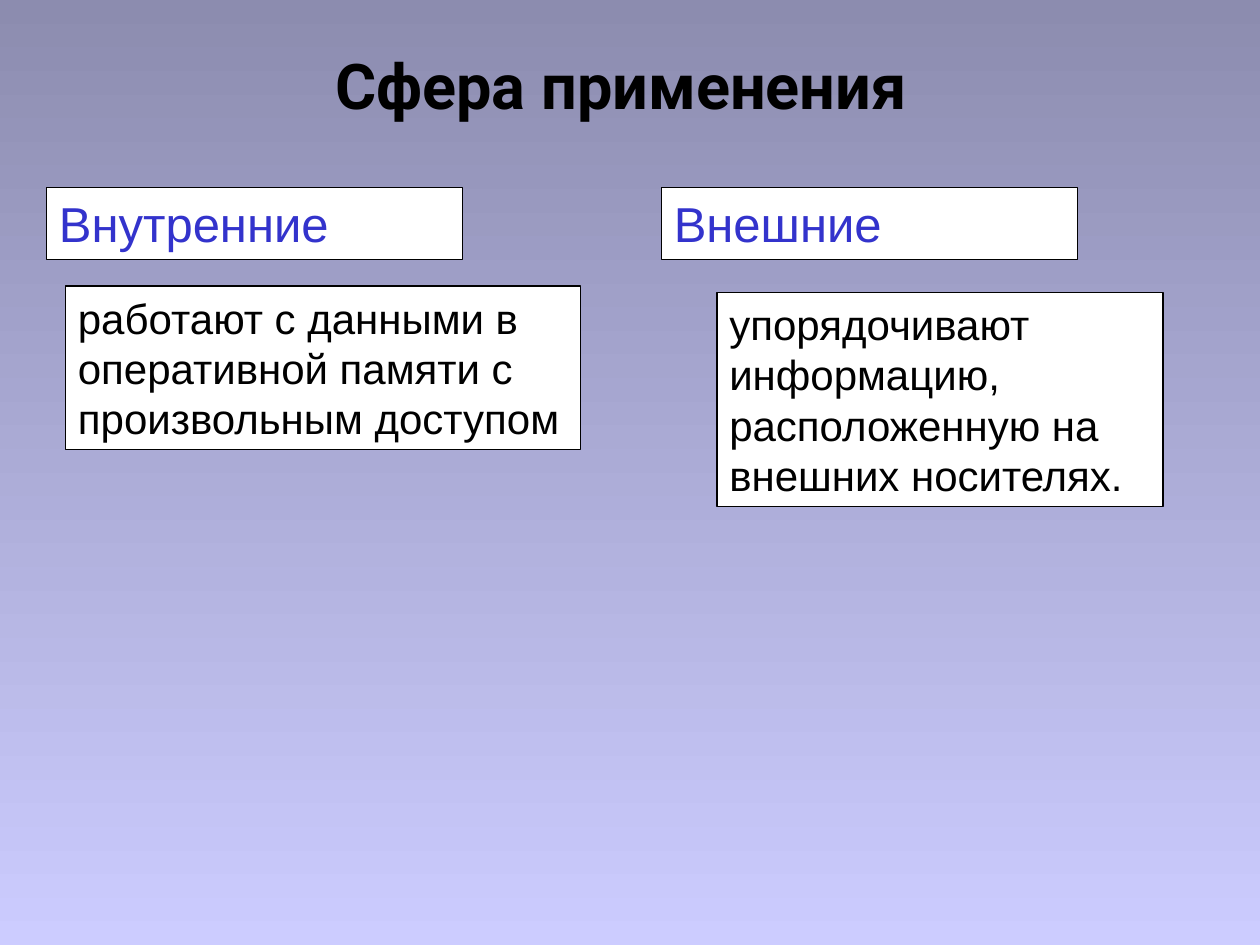
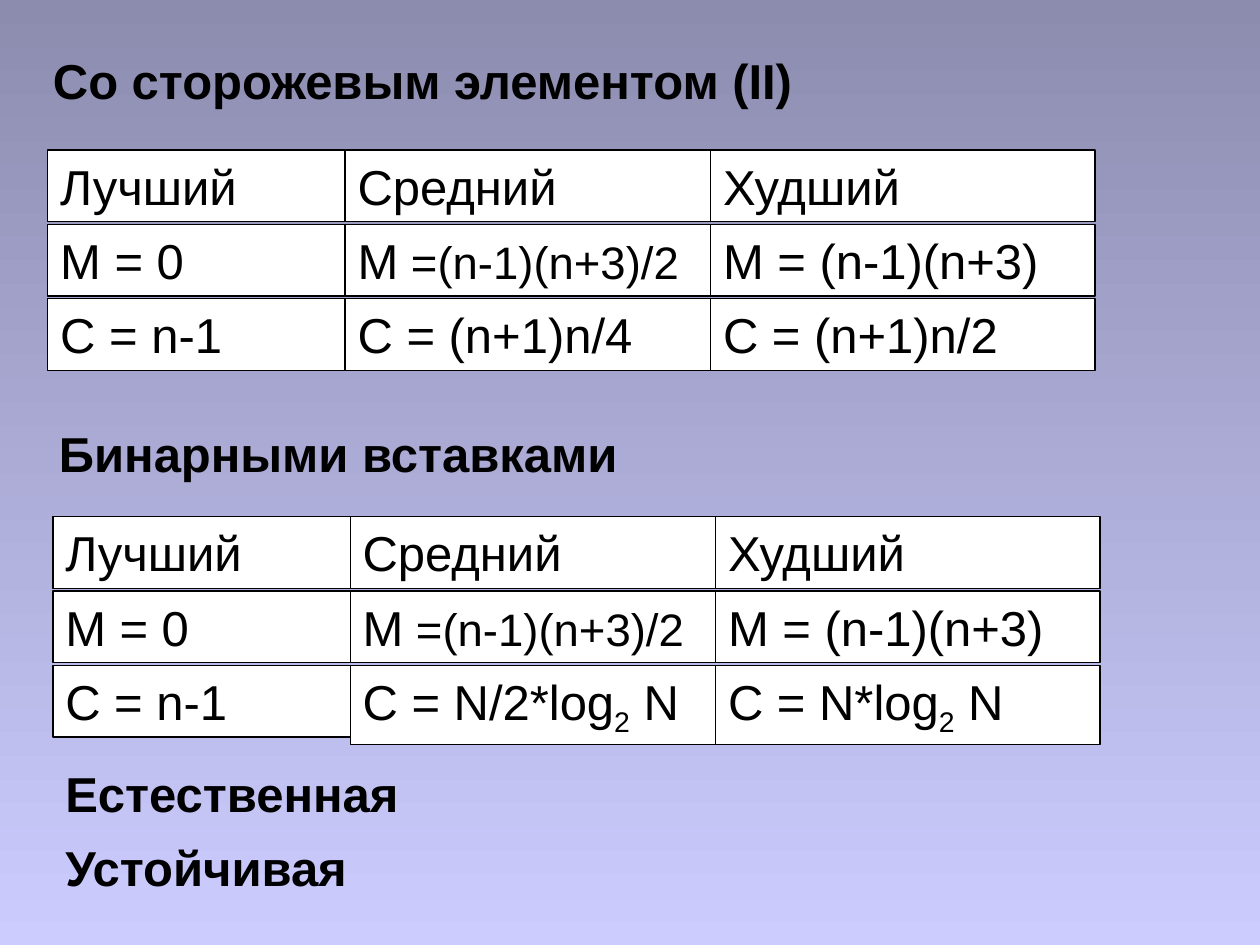
from dataclasses import dataclass
from itertools import accumulate
from pptx import Presentation
from pptx.dml.color import RGBColor
from pptx.enum.shapes import MSO_SHAPE
from pptx.enum.text import MSO_ANCHOR, MSO_AUTO_SIZE, PP_ALIGN
from pptx.util import Inches, Pt


@dataclass(frozen=True)
class Theme:
    black: RGBColor = RGBColor(0, 0, 0)
    white: RGBColor = RGBColor(255, 255, 255)
    blue: RGBColor = RGBColor(0x33, 0x33, 0xCC)
    top: RGBColor = RGBColor(0x8C, 0x8C, 0xAF)
    base: RGBColor = RGBColor(0xCC, 0xCC, 0xFF)
    font: str = "Arial"
    head: str = "Roboto"
    title: int = 36
    large: int = 28
    tight: int = 26
    body: int = 24
    line: float = 0.75


T = Theme()


def write(shape, parts, size=T.large, color=T.black, bold=False, face=T.font):
    """Fill a shape with runs; a part is a text or (text, size, baseline)."""
    frame = shape.text_frame
    frame.word_wrap = True
    frame.vertical_anchor = MSO_ANCHOR.TOP
    frame.auto_size = MSO_AUTO_SIZE.NONE
    para = frame.paragraphs[0]
    para.alignment = PP_ALIGN.LEFT
    for part in [parts] if isinstance(parts, str) else parts:
        text, points, shift = (part, size, 0) if isinstance(part, str) else part
        run = para.add_run()
        run.text = text
        run.font.name, run.font.size, run.font.bold = face, Pt(points), bold
        run.font.color.rgb = color
        if shift:
            run.font._element.set("baseline", str(shift * 1000))


def box(slide, place, parts, **style):
    """Draw a white framed box with text."""
    shape = slide.shapes.add_shape(MSO_SHAPE.RECTANGLE, *map(Inches, place))
    shape.shadow.inherit = False
    shape.fill.solid()
    shape.fill.fore_color.rgb = T.white
    shape.line.color.rgb = T.black
    shape.line.width = Pt(T.line)
    write(shape, parts, **style)


deck = Presentation()
deck.slide_width, deck.slide_height = Inches(10), Inches(7.5)

# Shared background
fill = deck.slide_master.background.fill
fill.gradient()
fill.gradient_angle = 270
for stop, color in zip(fill.gradient_stops, (T.top, T.base)):
    stop.color.rgb = color

# Slides with their titles
pages = []
for text, place, style in (
    ("Сфера применения", (0.51, 0.18, 9, 0.84), dict(size=T.title, face=T.head)),
    ("Со сторожевым элементом (II)", (0.32, 0.35, 8.27, 0.57), {}),
):
    page = deck.slides.add_slide(deck.slide_layouts[5])
    title = page.shapes.title
    title.left, title.top, title.width, title.height = map(Inches, place)
    write(title, text, bold=True, **style)
    pages.append(page)
scope, costs = pages

# Centre the first title, slightly left of and below the middle
frame = scope.shapes.title.text_frame
frame.vertical_anchor = MSO_ANCHOR.MIDDLE
frame.margin_right, frame.margin_top = Inches(0.26), Inches(0.19)
frame.paragraphs[0].alignment = PP_ALIGN.CENTER

# Scope: two kinds of sorting
for left, kind, place, note in (
    (0.37, "Внутренние", (0.52, 2.27, 4.09, 1.3),
     "работают с данными в оперативной памяти с произвольным доступом"),
    (5.25, "Внешние", (5.69, 2.32, 3.54, 1.7),
     "упорядочивают информацию, расположенную на внешних носителях."),
):
    box(scope, (left, 1.49, 3.3, 0.57), kind, color=T.blue)
    box(scope, place, note, size=T.body)

# Costs: two grids of boxes that share their first two rows
wides = (2.36, 2.9, 3.05)
steps = (0, *accumulate(wides))
pitch, high, tall = 0.59, 0.57, 0.63
sub = ("2", T.large, -25)
shared = [
    ("Лучший", "Средний", "Худший"),
    ("M = 0", ("M", (" =(n-1)(n+3)/2", T.tight, 0)), "M = (n-1)(n+3)"),
]
guard = ("C = n-1", "C = (n+1)n/4", "C = (n+1)n/2")
binary = ("C = n-1", ("C = N/2*log", sub, " N"), ("C = N*log", sub, " N"))
for left, top, last in ((0.38, 1.19, guard), (0.42, 4.1, binary)):
    for row, cells in enumerate([*shared, last]):
        for step, wide, cell in zip(steps, wides, cells):
            height = tall if sub in tuple(cell) else high
            box(costs, (left + step, top + row * pitch, wide, height), cell)

# Costs: bold labels
for left, top, wide, text in (
    (0.37, 3.31, 8.27, "Бинарными вставками"),
    (0.42, 6.01, 3.1, "Естественная"),
    (0.42, 6.6, 3.1, "Устойчивая"),
):
    label = costs.shapes.add_textbox(*map(Inches, (left, top, wide, high)))
    write(label, text, bold=True)

deck.save("out.pptx")
